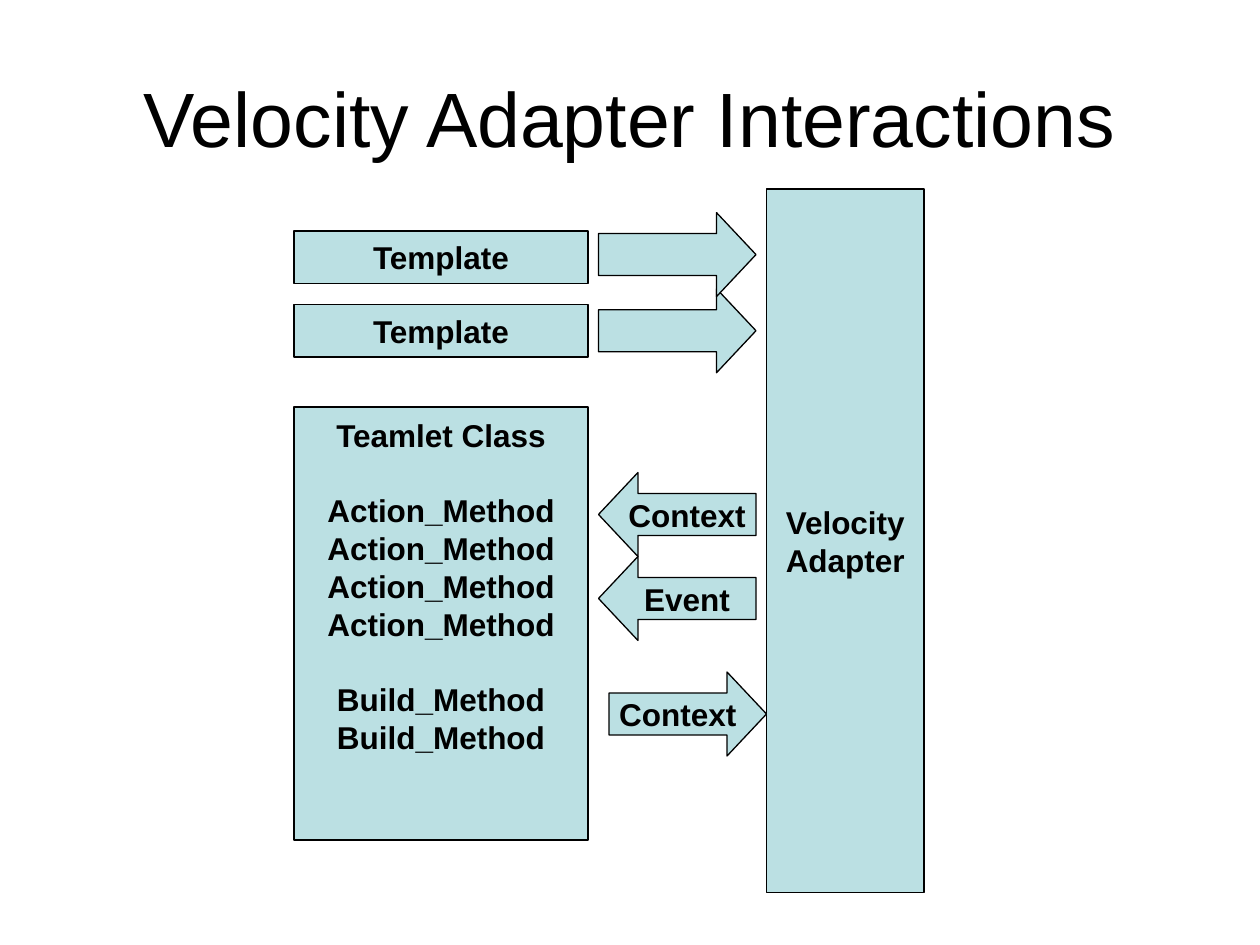
import pptx
import pptx.util
import pptx.dml.color
import pptx.enum.shapes
import pptx.enum.text

Inches, Pt = pptx.util.Inches, pptx.util.Pt
Color = pptx.dml.color.RGBColor.from_string
Shape = pptx.enum.shapes.MSO_SHAPE
Anchor = pptx.enum.text.MSO_ANCHOR

THEME = {
    "font": "Arial", "ink": "000000", "fill": "BBE0E3",
    "title_size": 44, "label_size": 18, "line_pitch": 21.6, "outline": 0.75,
    "arrow_head": 0.47,
}

# The page is a grid of 120 columns and 90 rows.
WIDTH, HEIGHT = 10, 7.5
COLUMNS, ROWS = 120, 90

TITLE = "Velocity Adapter Interactions"
TITLE_AREA = (6, 3.6, 108, 15)

ADAPTER = (["Velocity", "Adapter"], (73, 18, 15, 67))
TEAMLET_GROUPS = [
    ["Teamlet Class"],
    ["Action_Method"] * 4,
    ["Build_Method"] * 2,
]
TEAMLET_AREA = (28, 38.75, 28, 41.25)
TEMPLATE_ROWS = [22, 29]

# label, direction, column, row
ARROWS = [
    ("Context", Shape.LEFT_ARROW, 57, 45),
    ("Context", Shape.RIGHT_ARROW, 58, 64),
    ("Event", Shape.LEFT_ARROW, 57, 53),
    ("", Shape.RIGHT_ARROW, 57, 27.5),
    ("", Shape.RIGHT_ARROW, 57, 20.25),
]
ARROW_SIZE = (15, 8)


def to_lengths(area):
    column, row, columns, rows = area
    across, down = WIDTH / COLUMNS, HEIGHT / ROWS
    return [Inches(n) for n in
            (column * across, row * down, columns * across, rows * down)]


def write(box, lines, size, bold, wrap=True, pitch=None):
    frame = box.text_frame
    frame.text = "\n".join(lines)
    frame.word_wrap = wrap
    frame.vertical_anchor = Anchor.MIDDLE
    for para in frame.paragraphs:
        para.alignment = pptx.enum.text.PP_ALIGN.CENTER
        if pitch:
            para.line_spacing = Pt(pitch)
        for span in para.runs:
            span.font.name = THEME["font"]
            span.font.size = Pt(size)
            span.font.bold = bold
            span.font.color.rgb = Color(THEME["ink"])


def add_block(page, kind, area, lines, wrap=True):
    """Add a filled, outlined shape with a bold label."""
    box = page.shapes.add_shape(kind, *to_lengths(area))
    box.shadow.inherit = False
    box.fill.solid()
    box.fill.fore_color.rgb = Color(THEME["fill"])
    box.line.color.rgb = Color(THEME["ink"])
    box.line.width = Pt(THEME["outline"])
    if any(lines):
        write(box, lines, THEME["label_size"], True, wrap, THEME["line_pitch"])
    return box


def add_teamlet(page):
    """Add the class box, its groups one line apart."""
    lines = [line for group in TEAMLET_GROUPS for line in group]
    box = add_block(page, Shape.RECTANGLE, TEAMLET_AREA, lines)
    frame = box.text_frame
    frame.vertical_anchor = Anchor.TOP
    frame.margin_top = Inches(0.07)
    first = 0
    for group in TEAMLET_GROUPS[:-1]:
        first += len(group)
        frame.paragraphs[first].space_before = Pt(THEME["line_pitch"])


def main():
    deck = pptx.Presentation()
    deck.slide_width, deck.slide_height = Inches(WIDTH), Inches(HEIGHT)
    page = deck.slides.add_slide(deck.slide_layouts[6])

    title = page.shapes.add_textbox(*to_lengths(TITLE_AREA))
    write(title, [TITLE], THEME["title_size"], False)

    adapter_lines, adapter_area = ADAPTER
    add_block(page, Shape.RECTANGLE, adapter_area, adapter_lines, wrap=False)
    add_teamlet(page)
    for row in TEMPLATE_ROWS:
        add_block(page, Shape.RECTANGLE, (28, row, 28, 5), ["Template"])
    for label, direction, column, row in ARROWS:
        arrow = add_block(page, direction, (column, row, *ARROW_SIZE),
                          [label], wrap=False)
        arrow.adjustments[0] = 0.5
        arrow.adjustments[1] = THEME["arrow_head"]

    deck.save("out.pptx")


if __name__ == "__main__":
    main()
